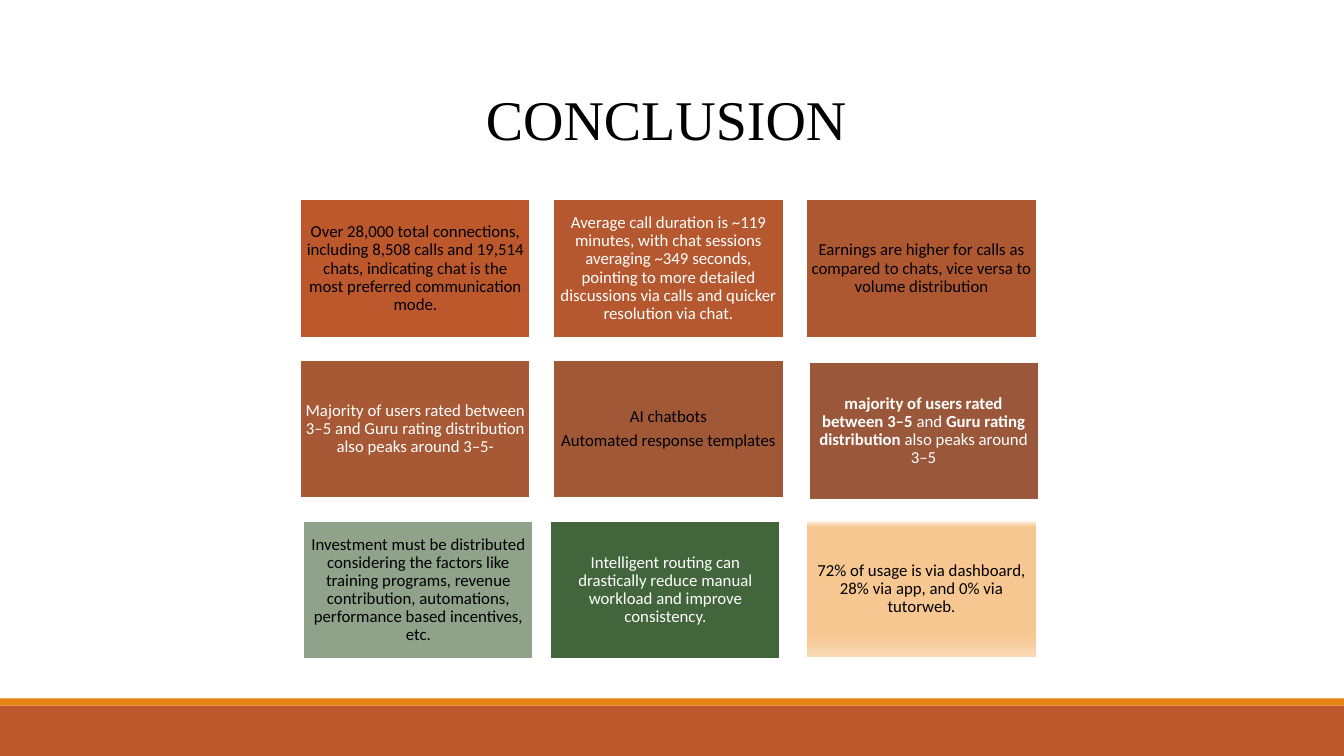
from lxml.etree import SubElement
from pptx import Presentation
from pptx.dml.color import RGBColor
from pptx.enum.shapes import MSO_SHAPE as Shape
from pptx.enum.text import MSO_ANCHOR as Anchor, PP_ALIGN as Align
from pptx.oxml.ns import qn
from pptx.util import Inches, Pt

BLACK, WHITE = "000000", "FFFFFF"
CARD_W, CARD_H = 2.28, 1.37
PITCH_X, PITCH_Y = 2.51, 1.59
CREAM_STOPS = [(0, "FEF9F3"), (5, "F6C791"), (83, "F6C791"), (100, "F9DAB6")]

# Each card: fill, opacity in percent, text colour, paragraphs of (text, bold) runs, nudge off the grid
CARDS = [
    ("BD582C", 100, BLACK, [[("Over 28,000 total connections, including 8,508 calls and 19,514 chats, "
                              "indicating chat is the most preferred communication mode.", False)]], (0, 0)),
    ("B6582F", 100, WHITE, [[("Average call duration is ~119 minutes, with chat sessions averaging "
                              "~349 seconds, pointing to more detailed discussions via calls and "
                              "quicker resolution via chat.", False)]], (0, 0)),
    ("AE5832", 100, BLACK, [[("Earnings are higher for calls as compared to chats, vice versa to "
                              "volume distribution", False)]], (0, 0)),
    ("A75835", 100, WHITE, [[("Majority of users rated between 3–5 and Guru rating distribution "
                              "also peaks around 3–5-", False)]], (0, 0)),
    ("A05837", 100, BLACK, [[("AI chatbots", False)],
                            [("Automated response templates", False)]], (0, 0)),
    ("9A573A", 100, WHITE, [[("majority of users rated between 3–5", True), (" and ", False),
                             ("Guru rating distribution", True),
                             (" also peaks around 3–5", False)]], (0.02, 0.02)),
    ("244C1C", 51, BLACK, [[("Investment must be distributed considering the factors like training "
                             "programs, revenue contribution, automations, performance based "
                             "incentives, etc.", False)]], (0.03, 0.01)),
    ("244C1C", 86, WHITE, [[("Intelligent routing can drastically reduce manual workload and "
                             "improve consistency.", False)]], (-0.03, 0.01)),
    (CREAM_STOPS, 100, BLACK, [[("72% of usage is via dashboard, 28% via app, and 0% via "
                                 "tutorweb.", False)]], (0, 0)),
]


def rgb(hex_color):
    return RGBColor.from_string(hex_color)


def set_format(target, values):
    for name, value in values.items():
        setattr(target, name, value)


def add_run(paragraph, text, color, font_format):
    run = paragraph.add_run()
    run.text = text
    run.font.color.rgb = rgb(color)
    set_format(run.font, font_format)


def add_rect(slide, box):
    rect = slide.shapes.add_shape(Shape.RECTANGLE, *map(Inches, box))
    rect.shadow.inherit = False
    rect.line.fill.background()
    return rect


def fill_solid(shape, color, opacity=100):
    shape.fill.solid()
    shape.fill.fore_color.rgb = rgb(color)
    if opacity < 100:
        srgb = shape._element.spPr.find(qn("a:solidFill")).find(qn("a:srgbClr"))
        SubElement(srgb, qn("a:alpha"), val=str(opacity * 1000))


def fill_downward_gradient(shape, stops):
    shape.fill.gradient()
    shape.fill.gradient_angle = 270
    stop_list = shape._element.spPr.find(qn("a:gradFill")).find(qn("a:gsLst"))
    for default_stop in list(stop_list):
        stop_list.remove(default_stop)
    for percent, color in stops:
        stop = SubElement(stop_list, qn("a:gs"), pos=str(percent * 1000))
        SubElement(stop, qn("a:srgbClr"), val=color)


def add_footer(slide, left, top, width, height):
    """Place the rust band with its thin orange strip on top."""
    strip = 0.07
    fill_solid(add_rect(slide, (left, top + strip, width, height - strip)), "BD582C")
    fill_solid(add_rect(slide, (left, top, width, strip)), "E48312")


def add_title(slide, left, top, width, height):
    frame = slide.shapes.add_textbox(*map(Inches, (left, top, width, height))).text_frame
    set_format(frame, {"word_wrap": True, "vertical_anchor": Anchor.MIDDLE})
    heading = frame.paragraphs[0]
    set_format(heading, {"line_spacing": 0.9, "space_after": Pt(6)})
    add_run(heading, "CONCLUSION", BLACK, {"name": "Times New Roman", "size": Pt(40)})


def add_card(slide, left, top, fill, opacity, text_color, paragraphs):
    card = add_rect(slide, (left, top, CARD_W, CARD_H))
    if isinstance(fill, str):
        fill_solid(card, fill, opacity)
    else:
        fill_downward_gradient(card, fill)
    card.line.color.rgb = rgb(WHITE)
    card.line.width = Pt(1.25)

    frame = card.text_frame
    inset = Inches(0.05)
    set_format(frame, {"word_wrap": True, "vertical_anchor": Anchor.MIDDLE,
                       "margin_left": inset, "margin_top": inset,
                       "margin_right": inset, "margin_bottom": inset})
    for index, runs in enumerate(paragraphs):
        paragraph = frame.add_paragraph() if index else frame.paragraphs[0]
        set_format(paragraph, {"alignment": Align.CENTER, "line_spacing": 0.9,
                               "space_after": Pt(4.2)})
        for text, bold in runs:
            add_run(paragraph, text, text_color,
                    {"name": "Calibri", "size": Pt(12), "bold": bold})


def add_findings(slide, left, top):
    """Lay the conclusion cards out in rows of three."""
    for index, (fill, opacity, text_color, paragraphs, (dx, dy)) in enumerate(CARDS):
        row, column = divmod(index, 3)
        add_card(slide, left + column * PITCH_X + dx, top + row * PITCH_Y + dy,
                 fill, opacity, text_color, paragraphs)


def main():
    deck = Presentation()
    set_format(deck, {"slide_width": Inches(13.33), "slide_height": Inches(7.5)})
    slide = deck.slides.add_slide(deck.slide_layouts[6])
    add_footer(slide, 0, 6.93, 13.33, 0.57)
    add_title(slide, 4.72, 0.63, 5.61, 1.17)
    add_findings(slide, 2.98, 1.98)
    deck.save("out.pptx")


if __name__ == "__main__":
    main()
